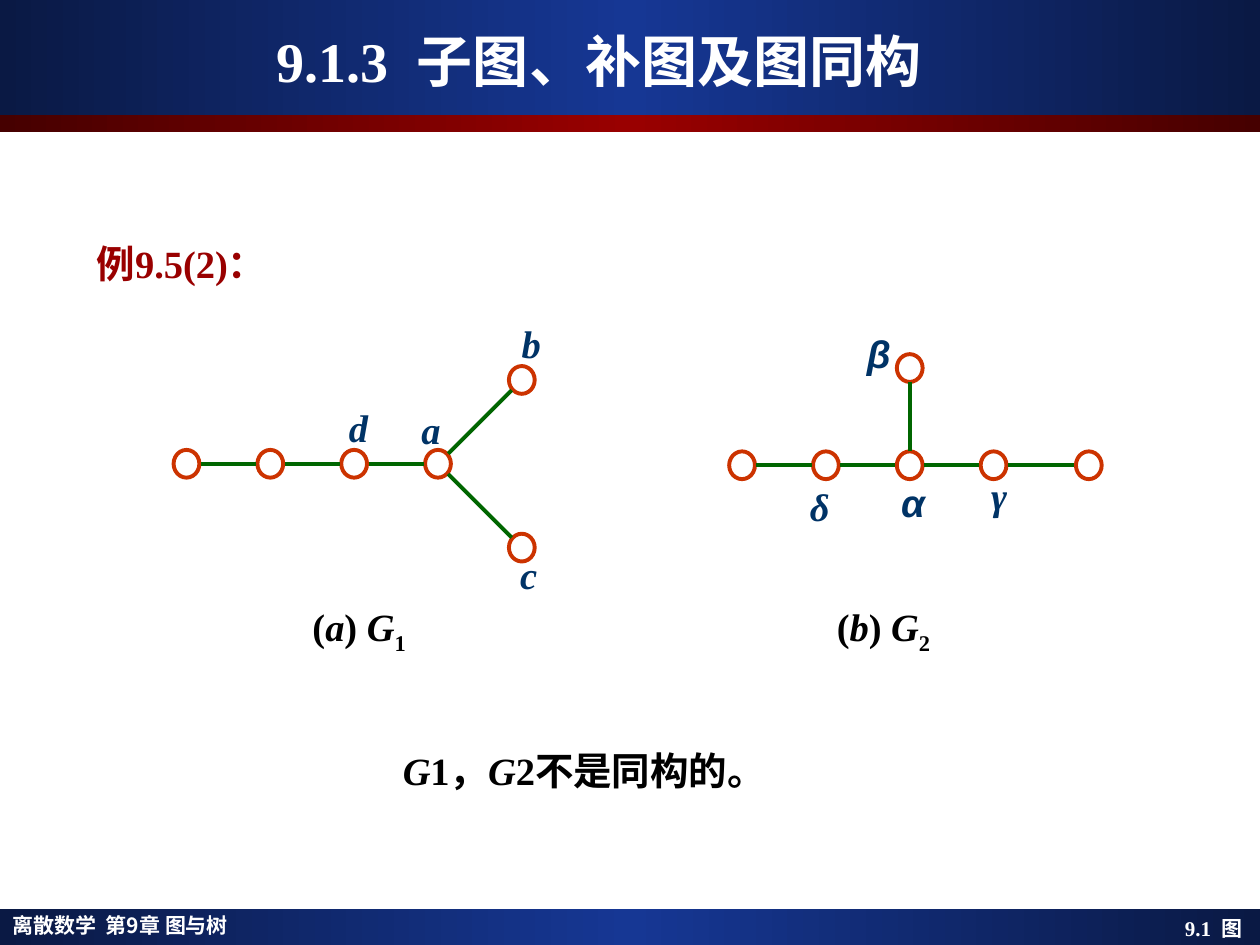
from copy import deepcopy
from math import hypot

from lxml import etree
from pptx import Presentation
from pptx import util as u
from pptx.dml.color import RGBColor
from pptx.enum import shapes, text
from pptx.oxml.ns import qn

NAVY, BLUE = RGBColor(0x0A, 0x19, 0x44), RGBColor(0x16, 0x37, 0x94)
MAROON, RED = RGBColor(0x46, 0, 0), RGBColor(0x99, 0, 0)
NODE_ORANGE = RGBColor(0xCC, 0x33, 0)
EDGE_GREEN = RGBColor(0, 0x66, 0)
LABEL_BLUE = RGBColor(0, 0x33, 0x66)
WHITE, BLACK = RGBColor(255, 255, 255), RGBColor(0, 0, 0)

SERIF, SANS, CJK = "Times New Roman", "Arial", "Noto Sans CJK JP"
LEFT, CENTER, RIGHT = (text.PP_ALIGN.LEFT, text.PP_ALIGN.CENTER,
                       text.PP_ALIGN.RIGHT)
SLIDE_W, SLIDE_H = 25.4, 19.05


class SlideBuilder:
    """Holds the style and the current slide; all lengths are in cm."""

    node_w, node_h, trim = 0.52, 0.56, 0.29
    label_w, label_h = 0.85, 1.19
    stroke, body_size = u.Pt(2.25), 22

    def __init__(self, slide):
        self.slide = slide
        self.target = slide.shapes

    def start_group(self):
        self.target = self.slide.shapes.add_group_shape().shapes

    def band(self, top, height, edge, middle):
        bar = self.target.add_shape(shapes.MSO_SHAPE.RECTANGLE, 0, u.Cm(top),
                                    u.Cm(SLIDE_W), u.Cm(height))
        bar.shadow.inherit = False
        bar.line.fill.background()
        bar.fill.gradient()
        bar.fill.gradient_angle = 0
        stop_list = bar._element.spPr.find(".//" + qn("a:gsLst"))
        stop_list.append(deepcopy(stop_list[0]))
        stops = zip(bar.fill.gradient_stops, (0, 0.5, 1), (edge, middle, edge))
        for stop, position, color in stops:
            stop.position = position
            stop.color.rgb = color

    def text_line(self, pieces, left, top, width, height, size=body_size,
                  color=BLACK, font=SERIF, align=LEFT, wrap=True,
                  anchor=text.MSO_ANCHOR.TOP, spacing=1.0):
        """Each piece is (wording, style); style has i for italic, s for subscript."""
        box = self.target.add_textbox(u.Cm(left), u.Cm(top),
                                      u.Cm(width), u.Cm(height))
        frame = box.text_frame
        frame.word_wrap = wrap
        frame.vertical_anchor = anchor
        line = frame.paragraphs[0]
        line.alignment = align
        line.line_spacing = spacing
        for wording, style in pieces:
            run = line.add_run()
            run.text = wording
            run.font.name = font
            run.font.size = u.Pt(size)
            run.font.bold = True
            run.font.italic = "i" in style
            run.font.color.rgb = color
            props = run._r.get_or_add_rPr()
            etree.SubElement(props, qn("a:ea"), typeface=CJK)
            if "s" in style:
                props.set("baseline", "-25000")

    def label(self, letter, x, y, font=SERIF):
        self.text_line([(letter, "i")], x - self.label_w / 2,
                       y - self.label_h / 2, self.label_w, self.label_h,
                       color=LABEL_BLUE, font=font, align=CENTER, wrap=False)

    def node(self, x, y):
        ring = self.target.add_shape(
            shapes.MSO_SHAPE.OVAL, u.Cm(x - self.node_w / 2),
            u.Cm(y - self.node_h / 2), u.Cm(self.node_w), u.Cm(self.node_h))
        ring.shadow.inherit = False
        ring.fill.background()
        ring.line.color.rgb = NODE_ORANGE
        ring.line.width = self.stroke

    def edge(self, start, end):
        """Joins two node centres, stopping at the rim of each node."""
        (x1, y1), (x2, y2) = start, end
        part = self.trim / hypot(x2 - x1, y2 - y1)
        dx, dy = (x2 - x1) * part, (y2 - y1) * part
        link = self.target.add_connector(
            shapes.MSO_CONNECTOR.STRAIGHT, u.Cm(x1 + dx), u.Cm(y1 + dy),
            u.Cm(x2 - dx), u.Cm(y2 - dy))
        link.line.color.rgb = EDGE_GREEN
        link.line.width = self.stroke
        etree.SubElement(link._element.spPr, qn("a:effectLst"))

    def graph(self, nodes, edges, labels):
        self.start_group()
        for label in labels:
            self.label(*label)
        for center in nodes:
            self.node(*center)
        for start, end in edges:
            self.edge(nodes[start], nodes[end])
        self.target = self.slide.shapes


def main():
    deck = Presentation()
    deck.slide_width, deck.slide_height = u.Cm(SLIDE_W), u.Cm(SLIDE_H)
    page = SlideBuilder(deck.slides.add_slide(deck.slide_layouts[6]))

    # Header and footer bands
    page.band(18.33, 0.72, NAVY, BLUE)
    page.band(0, 2.32, NAVY, BLUE)
    page.band(2.32, 0.34, MAROON, RED)

    # Footer and title
    page.text_line([("离散数学  第9章 图与树", "")], 0, 18.33, 10.5, 0.72,
                   size=12, color=WHITE, font=CJK, spacing=0.9)
    page.text_line([("9.1.3  子图、补图及图同构", "")], 0.33, 0.43, 23.5, 1.58,
                   size=32, color=WHITE, align=CENTER,
                   anchor=text.MSO_ANCHOR.MIDDLE)
    page.text_line([("9.1  图", "")], 18.9, 18.33, 6.4, 0.75, size=12,
                   color=WHITE, align=RIGHT)

    # Conclusion, captions and example heading
    page.text_line([("G", "i"), ("1，", ""), ("G", "i"), ("2不是同构的。", "")],
                   7.87, 14.94, 9.5, 1.6)
    for letter, number, left in (("a", "1", 6.05), ("b", "2", 16.62)):
        page.text_line([("(", ""), (letter, "i"), (") ", ""), ("G", "i"),
                        (number, "s")], left, 12.04, 4.2, 1.32)
    page.text_line([("例9.5(2)：", "")], 1.7, 4.72, 4.45, 1.19, color=RED)

    # Graph G1: a path that forks at a
    step = 1.69
    row = [(3.76 + i * step, 9.35) for i in range(4)]
    fork_x, fork_y = row[-1]
    forks = [(fork_x + step, fork_y - step), (fork_x + step, fork_y + step)]
    page.graph(row + forks, [(0, 1), (1, 2), (2, 3), (3, 4), (3, 5)],
               [("d", 7.21, 8.62), ("a", 8.67, 8.65),
                ("b", 10.69, 6.92), ("c", 10.66, 11.57)])

    # Graph G2: a path with one branch above α
    row = [(14.96 + i * step, 9.38) for i in range(4)]
    page.graph(row + [(21.95, 9.38), (row[2][0], 7.42)],
               [(0, 1), (1, 2), (2, 3), (2, 5), (3, 4)],
               [("β", 17.65, 7.12, SANS), ("δ", 16.5, 10.2),
                ("α", 18.34, 10.12, SANS), ("γ", 20.14, 9.99)])

    deck.save("out.pptx")


if __name__ == "__main__":
    main()
